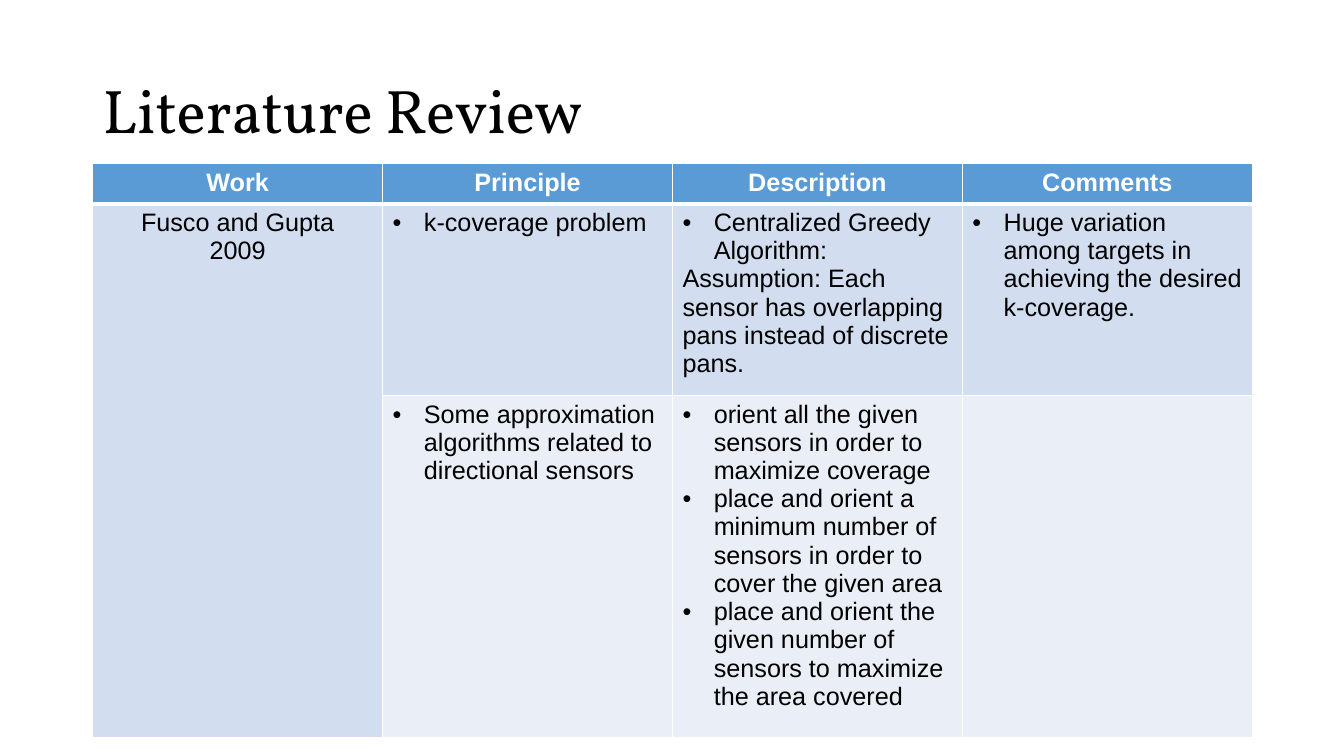
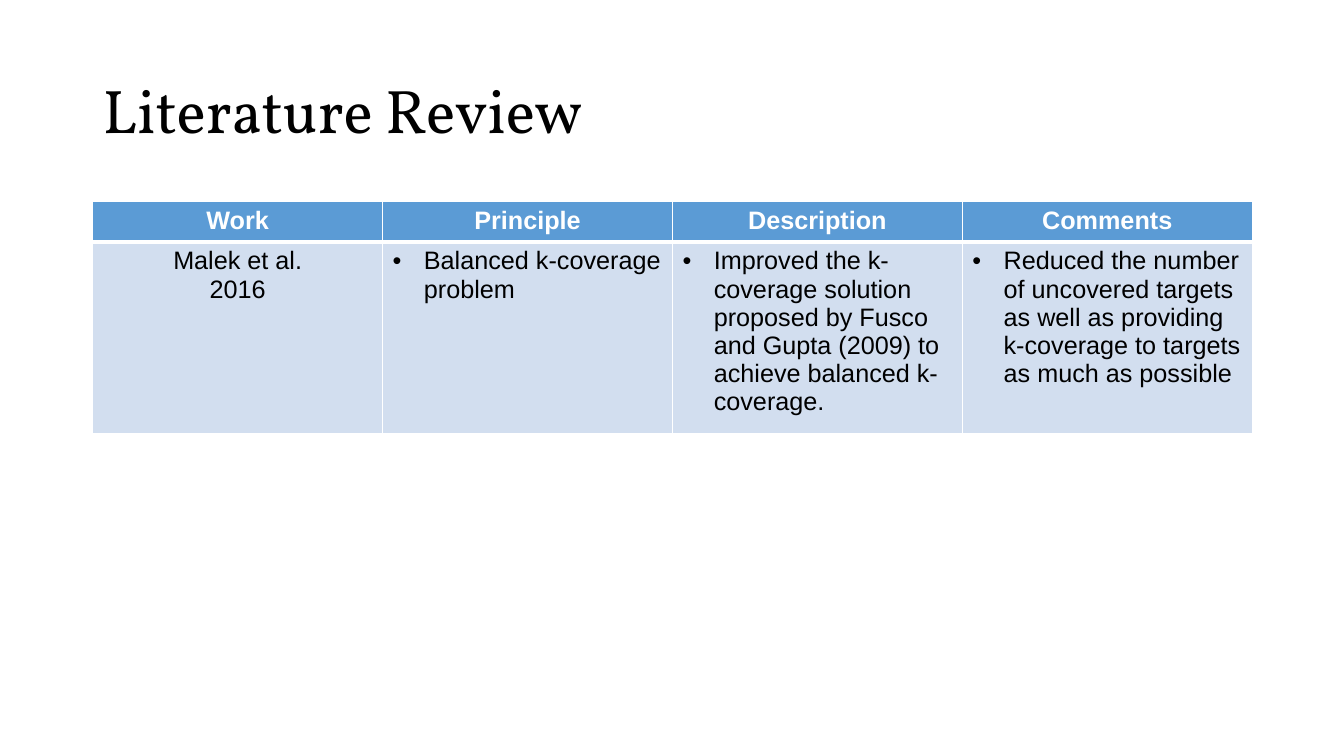
from lxml.etree import SubElement as Sub
from pptx import Presentation
from pptx.dml.color import RGBColor as RGB
from pptx.enum.text import MSO_ANCHOR as Anchor, PP_ALIGN as Align
from pptx.oxml.ns import qn
from pptx.util import Inches, Pt

BLACK = RGB(0x00, 0x00, 0x00)
WHITE = RGB(0xFF, 0xFF, 0xFF)
BLUE = RGB(0x5B, 0x9B, 0xD5)
PALE = RGB(0xD2, 0xDE, 0xEF)
FAINT = RGB(0xEA, 0xEF, 0xF7)
FILLS = [BLUE, PALE, FAINT]

LEFT, WIDTH = Inches(0.92), Inches(11.5)
INDENT = Inches(0.31)
MARK = "• "
HEAD = ["Work", "Principle", "Description", "Comments"]


def write(frame, text, size=18, font="Arial", color=BLACK, bold=False,
          align=Align.LEFT, space=None):
    """Write one paragraph per line; a line that opens with MARK is a bullet."""
    for i, line in enumerate(text.split("\n")):
        para = frame.add_paragraph() if i else frame.paragraphs[0]
        para.alignment = align
        para.line_spacing = space
        if line.startswith(MARK):
            props = para._p.get_or_add_pPr()
            props.set("marL", str(INDENT))
            props.set("indent", str(-INDENT))
            Sub(props, qn("a:buFont"), typeface="Arial")
            Sub(props, qn("a:buChar"), char=MARK.strip())
        run = para.add_run()
        run.text = line.removeprefix(MARK)
        run.font.size, run.font.name = Pt(size), font
        run.font.bold = bold
        run.font.color.rgb = color


def border(cell, row):
    """Draw white edges, with a thick one under the header."""
    props = cell._tc.get_or_add_tcPr()
    thick = {("B", 0), ("T", 1)}
    for side in "LRTB":
        width = Pt(3 if (side, row) in thick else 1)
        line = Sub(props, qn("a:ln" + side), w=str(width))
        Sub(Sub(line, qn("a:solidFill")), qn("a:srgbClr"), val=str(WHITE))


# Content: top of the table, row heights, body rows
pages = [
    (1.62, [0.4, 1.78, 3.17], [
        ["Fusco and Gupta\n2009",
         "• k-coverage problem",
         "• Centralized Greedy Algorithm:\n"
         "Assumption: Each sensor has overlapping pans instead of discrete pans.",
         "• Huge variation among targets in achieving the desired k-coverage."],
        ["",
         "• Some approximation algorithms related to directional sensors",
         "• orient all the given sensors in order to maximize coverage\n"
         "• place and orient a minimum number of sensors in order to cover "
         "the given area\n"
         "• place and orient the given number of sensors to maximize "
         "the area covered",
         ""]]),
    (2, [0.4, 1.78], [
        ["Malek et al.\n2016",
         "• Balanced k-coverage problem",
         "• Improved the k-coverage solution proposed by Fusco and Gupta (2009) "
         "to achieve balanced k-coverage.",
         "• Reduced the number of uncovered targets as well as providing "
         "k-coverage to targets as much as possible"]]),
]

deck = Presentation()
deck.slide_width, deck.slide_height = Inches(13.33), Inches(7.5)

for top, highs, body in pages:
    slide = deck.slides.add_slide(deck.slide_layouts[6])

    # Title
    box = slide.shapes.add_textbox(LEFT, Inches(0.4), WIDTH, Inches(1.45))
    box.text_frame.word_wrap = True
    box.text_frame.vertical_anchor = Anchor.MIDDLE
    write(box.text_frame, "Literature Review", size=44, font="Vollkorn", space=0.9)

    # Table
    rows = [HEAD] + body
    table = slide.shapes.add_table(len(rows), len(HEAD), LEFT, Inches(top),
                                   WIDTH, Inches(sum(highs))).table
    for r, texts in enumerate(rows):
        table.rows[r].height = Inches(highs[r])
        for c, text in enumerate(texts):
            cell = table.cell(r, c)
            border(cell, r)
            cell.fill.solid()
            cell.fill.fore_color.rgb = FILLS[r]
            if text:
                write(cell.text_frame, text, bold=r == 0,
                      color=BLACK if r else WHITE,
                      align=Align.LEFT if r and c else Align.CENTER)

    # One work spans all its body rows
    if len(body) > 1:
        table.cell(1, 0).merge(table.cell(len(body), 0))

deck.save("out.pptx")
